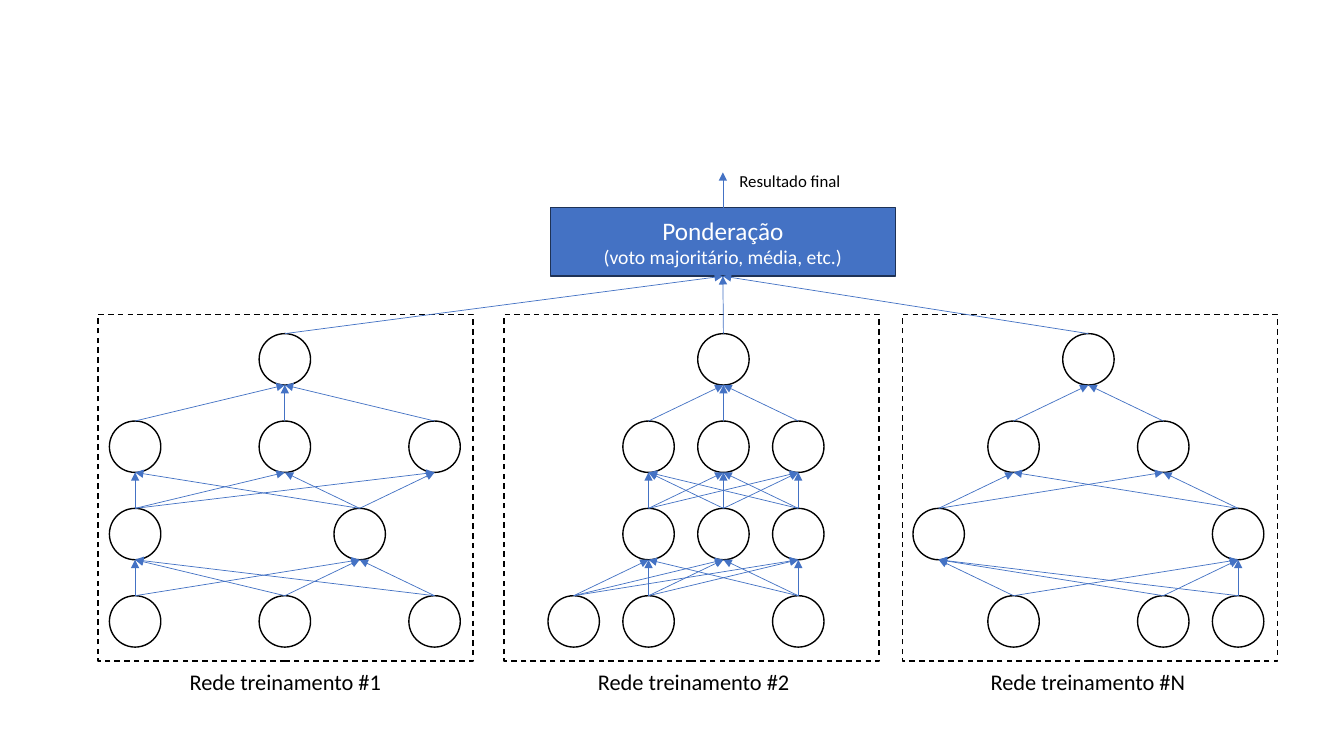
import itertools

import lxml.etree
import pptx
import pptx.dml.color
import pptx.enum.dml
import pptx.enum.shapes
import pptx.enum.text
import pptx.oxml.ns
import pptx.util

Inches = pptx.util.Inches
SHAPES = pptx.enum.shapes.MSO_SHAPE
BLUE = pptx.dml.color.RGBColor(0x44, 0x72, 0xC4)
NAVY = pptx.dml.color.RGBColor(0x1E, 0x32, 0x56)
BLACK = pptx.dml.color.RGBColor(0, 0, 0)
WHITE = pptx.dml.color.RGBColor(0xFF, 0xFF, 0xFF)

NEURON = 0.51
COLUMN_STEP = 2.97 / 4
LAYER_STEP = 2.6 / 3
NETWORK_TOP, NETWORK_WIDTH, NETWORK_HEIGHT = 3.12, 3.72, 3.44

# Layers run from output to input and list the occupied columns.
NETWORKS = [
    ("Rede treinamento #1", 0.97, 0.37, 0, [[2], [0, 2, 4], [0, 3], [0, 2, 4]]),
    ("Rede treinamento #2", 5.0, 0.69, 0.02, [[2], [1, 2, 3], [1, 2, 3], [0, 1, 3]]),
    ("Rede treinamento #N", 8.95, 0.36, -0.02, [[2], [1, 3], [0, 4], [1, 3, 4]]),
]


def add_arrow(slide, start, end):
    """Draw a thin blue arrow between two points."""
    arrow = slide.shapes.add_connector(
        pptx.enum.shapes.MSO_CONNECTOR.STRAIGHT, *map(Inches, start + end))
    arrow.line.color.rgb = BLUE
    arrow.line.width = pptx.util.Pt(0.5)
    qn = pptx.oxml.ns.qn
    lxml.etree.SubElement(arrow.line._get_or_add_ln(), qn("a:tailEnd"), type="triangle")
    lxml.etree.SubElement(arrow._element.spPr, qn("a:effectLst"))


def add_outline(slide, kind, box, color=BLACK):
    """Add an unfilled shape with a one-point outline."""
    outline = slide.shapes.add_shape(kind, *map(Inches, box))
    outline.shadow.inherit = False
    outline.fill.background()
    outline.line.color.rgb = color
    outline.line.width = pptx.util.Pt(1)
    return outline


def write_lines(frame, lines, color):
    """Fill a text frame with centred lines of given sizes."""
    frame.word_wrap = True
    frame.text = "\n".join(text for text, size in lines)
    for paragraph, (text, size) in zip(frame.paragraphs, lines):
        paragraph.alignment = pptx.enum.text.PP_ALIGN.CENTER
        font = paragraph.runs[0].font
        font.name, font.size, font.color.rgb = "Calibri", pptx.util.Pt(size), color


def add_label(slide, box, text, size):
    """Add a centred black label."""
    label = slide.shapes.add_textbox(*map(Inches, box))
    write_lines(label.text_frame, [(text, size)], BLACK)
    label.text_frame.auto_size = pptx.enum.text.MSO_AUTO_SIZE.SHAPE_TO_FIT_TEXT


def add_network(slide, box, caption, first_column, caption_shift, layers):
    """Draw a framed, fully connected network and return its output point."""
    left, top, width, height = box
    layer_tops = [top + 0.19 + row * LAYER_STEP for row in range(len(layers))]
    centers = [[left + first_column + column * COLUMN_STEP for column in layer]
               for layer in layers]
    for layer_top, layer in zip(layer_tops, centers):
        for center in layer:
            add_outline(slide, SHAPES.OVAL,
                        (center - NEURON / 2, layer_top, NEURON, NEURON))
    for row in range(1, len(layers)):
        for source, target in itertools.product(centers[row], centers[row - 1]):
            add_arrow(slide, (source, layer_tops[row]),
                      (target, layer_tops[row - 1] + NEURON))
    frame = add_outline(slide, SHAPES.RECTANGLE, box)
    frame.line.dash_style = pptx.enum.dml.MSO_LINE.DASH
    add_label(slide, (left + caption_shift, top + height + 0.02, width, 0.37),
              caption, 16)
    return centers[0][0], layer_tops[0]


def add_weighting(slide, box, outputs):
    """Draw the weighting block, its inputs and its final result."""
    left, top, width, height = box
    center = left + width / 2
    weighting = add_outline(slide, SHAPES.RECTANGLE, box, NAVY)
    weighting.fill.solid()
    weighting.fill.fore_color.rgb = BLUE
    weighting.text_frame.vertical_anchor = pptx.enum.text.MSO_ANCHOR.MIDDLE
    write_lines(weighting.text_frame,
                [("Ponderação", 18), ("(voto majoritário, média, etc.)", 14)], WHITE)
    for output in outputs:
        add_arrow(slide, output, (center, top + height))
    add_arrow(slide, (center, top), (center, top - 0.35))
    add_label(slide, (center, top - 0.42, 1.33, 0.3), "Resultado final", 12)


def main():
    """Build the ensemble slide and save it."""
    presentation = pptx.Presentation()
    presentation.slide_width = Inches(13.33)
    presentation.slide_height = Inches(7.5)
    slide = presentation.slides.add_slide(presentation.slide_layouts[6])
    outputs = [
        add_network(slide, (left, NETWORK_TOP, NETWORK_WIDTH, NETWORK_HEIGHT),
                    caption, first_column, caption_shift, layers)
        for caption, left, first_column, caption_shift, layers in NETWORKS
    ]
    add_weighting(slide, (5.46, 2.06, 3.42, 0.68), outputs)
    presentation.save("out.pptx")


if __name__ == "__main__":
    main()
